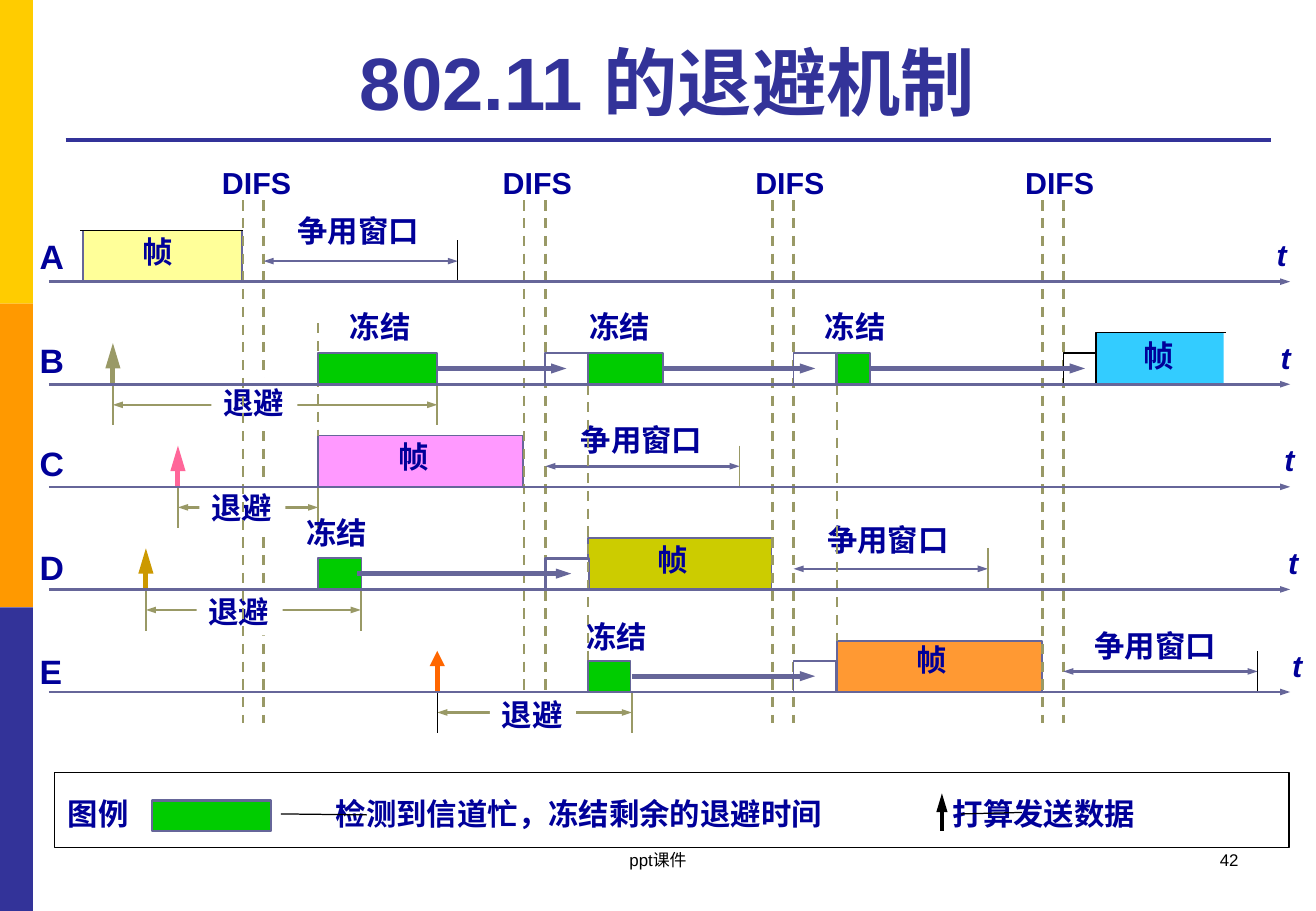
from lxml.etree import SubElement
from pptx import Presentation
from pptx.dml.color import RGBColor
from pptx.enum.dml import MSO_LINE
from pptx.enum.shapes import MSO_CONNECTOR, MSO_SHAPE
from pptx.enum.text import MSO_ANCHOR, MSO_AUTO_SIZE, PP_ALIGN
from pptx.oxml.ns import qn
from pptx.util import Cm, Pt

COLORS = {
    "gold": "FFCC00", "amber": "FF9900", "indigo": "333399", "navy": "000099",
    "slate": "666699", "olive": "999966", "black": "000000", "white": "FFFFFF",
    "green": "00CC00", "yellow": "FFFF99", "sky": "33CCFF", "pink": "FF99FF",
    "mustard": "CCCC00", "orange": "FF9933", "rose": "FF6699",
    "ochre": "CC9900", "flame": "FF6600",
}
BASELINES = {name: 5.89 + 2.145 * index for index, name in enumerate("ABCDE")}
LABEL_HEIGHT = 1.02
SLIM_HEAD = ("sm", "med")
LONG_HEAD = ("med", "lg")


def color(name):
    return RGBColor.from_string(COLORS[name])


class TimingSlide:
    font_name = "Arial"

    def __init__(self, slide):
        self.slide = slide
        self.shapes = slide.shapes

    def format_text(self, paragraph, size, color_name, bold=True, italic=False):
        values = {"name": self.font_name, "size": Pt(size), "bold": bold, "italic": italic}
        for attribute, value in values.items():
            setattr(paragraph.font, attribute, value)
        paragraph.font.color.rgb = color(color_name)

    def title(self, text, left, top, width, height):
        shape = self.shapes.title
        box = {"left": left, "top": top, "width": width, "height": height}
        for attribute, value in box.items():
            setattr(shape, attribute, Cm(value))
        frame = shape.text_frame
        frame.text = text
        frame.auto_size = MSO_AUTO_SIZE.NONE
        frame.vertical_anchor = MSO_ANCHOR.BOTTOM
        frame.paragraphs[0].alignment = PP_ALIGN.CENTER
        self.format_text(frame.paragraphs[0], 44, "indigo")

    def label(self, text, left, top, width, height=LABEL_HEIGHT, size=18, color_name="navy",
              bold=True, italic=False, wrap=False, align=PP_ALIGN.LEFT, fill=None, tabs=()):
        shape = self.shapes.add_textbox(Cm(left), Cm(top), Cm(width), Cm(height))
        if fill:
            shape.fill.solid()
            shape.fill.fore_color.rgb = color(fill)
        frame = shape.text_frame
        frame.word_wrap = wrap
        frame.auto_size = MSO_AUTO_SIZE.NONE if wrap else MSO_AUTO_SIZE.SHAPE_TO_FIT_TEXT
        paragraph = frame.paragraphs[0]
        paragraph.text = text
        paragraph.alignment = align
        if tabs:
            tab_list = SubElement(paragraph._p.get_or_add_pPr(), qn("a:tabLst"))
            for position in tabs:
                SubElement(tab_list, qn("a:tab"), pos=str(Cm(position)), algn="l")
        self.format_text(paragraph, size, color_name, bold, italic)

    def style_shape(self, shape, fill, line, width):
        shape.shadow.inherit = False
        if fill:
            shape.fill.solid()
            shape.fill.fore_color.rgb = color(fill)
        else:
            shape.fill.background()
        if line:
            shape.line.color.rgb = color(line)
            shape.line.width = Pt(width)
        else:
            shape.line.fill.background()

    def rectangle(self, left, top, width, height, fill=None, line=None, line_width=1):
        shape = self.shapes.add_shape(
            MSO_SHAPE.RECTANGLE, Cm(left), Cm(top), Cm(width), Cm(height))
        self.style_shape(shape, fill, line, line_width)

    def outline(self, start, *points):
        """Draw an open, unfilled path through the points."""
        builder = self.shapes.build_freeform(Cm(start[0]), Cm(start[1]))
        builder.add_line_segments([(Cm(x), Cm(y)) for x, y in points], close=False)
        self.style_shape(builder.convert_to_shape(), None, "black", 0.75)

    def line(self, x1, y1, x2, y2, color_name, width, dashed=False, ends=(), head=SLIM_HEAD):
        """Draw a line; ends lists headEnd and tailEnd, head is arrow width and length."""
        connector = self.shapes.add_connector(
            MSO_CONNECTOR.STRAIGHT, Cm(x1), Cm(y1), Cm(x2), Cm(y2))
        connector.line.color.rgb = color(color_name)
        connector.line.width = Pt(width)
        if dashed:
            connector.line.dash_style = MSO_LINE.DASH
        properties = connector._element.spPr
        for end in ends:
            SubElement(properties.find(qn("a:ln")), qn(f"a:{end}"),
                       type="triangle", w=head[0], len=head[1])
        SubElement(properties, qn("a:effectLst"))

    def dashed(self, x, top, bottom):
        self.line(x, top, x, bottom, "olive", 1.5, dashed=True)

    def span(self, x1, x2, y, color_name):
        self.line(x1, y, x2, y, color_name, 1.5, ends=("headEnd", "tailEnd"))

    def tick(self, x, top, color_name):
        self.line(x, top, x, top + 0.86, color_name, 0.75 if color_name == "black" else 1)

    def slot(self, row, left, width, fill, line="slate", line_width=1):
        self.rectangle(left, BASELINES[row] - 0.65, width, 0.65, fill, line, line_width)


def draw_background(page):
    for index, fill in enumerate(("gold", "amber", "indigo")):
        page.rectangle(0, 6.35 * index, 0.69, 6.35, fill)
    page.line(1.37, 2.92, 26.57, 2.92, "indigo", 2.25)
    page.title("802.11 的退避机制", 1.37, 0.53, 25.17, 2.21)
    page.label("ppt课件", 9.4, 17.65, 8.71, 1.27, 10, "black", False,
               wrap=True, align=PP_ALIGN.CENTER)
    page.label("42", 19.71, 17.65, 6.43, 1.27, 10, "black", False,
               wrap=True, align=PP_ALIGN.RIGHT)


def draw_frames(page):
    frames = [  # row, left, width, fill, line, label left, label top
        ("A", 1.73, 3.33, "yellow", "slate", 2.72, 4.75),
        ("B", 22.91, 2.67, "sky", None, 23.65, 6.93),
        ("C", 6.65, 4.29, "pink", "slate", 8.08, 9.04),
        ("D", 12.29, 3.84, "mustard", "slate", 13.49, 11.2),
        ("E", 17.5, 4.29, "orange", "slate", 18.9, 13.28),
    ]
    for row, left, width, fill, line, label_left, label_top in frames:
        page.rectangle(left, BASELINES[row] - 1.07, width, 1.07, fill, line)
        page.label("帧", label_left, label_top, 1.14)
    page.line(1.68, 4.82, 5.08, 4.82, "black", 0.75)
    page.outline((22.91, 8.04), (22.91, 6.96), (25.62, 6.96))


def draw_contention(page):
    for x in (5.51, 10.95, 11.4, 16.15, 16.59, 21.79, 22.23):
        page.dashed(x, 4.19, 15.11)
    for left in (4.39, 10.26, 15.54, 21.18):
        page.label("DIFS", left, 3.3, 1.98)
    windows = [  # row, start, tick colour, label left, label top
        ("A", 5.51, "black", 5.97, 4.32), ("C", 11.4, "olive", 11.89, 8.69),
        ("D", 16.59, "olive", 17.04, 10.77), ("E", 22.23, "black", 22.63, 12.98),
    ]
    for row, start, tick_color, left, top in windows:
        end = start + 4.06
        page.span(start, end, BASELINES[row] - 0.43, "slate")
        page.tick(end, BASELINES[row] - 0.86, tick_color)
        page.label("争用窗口", left, top, 3.07)


def draw_slots(page):
    waiting = [("B", 11.4, 0.89, "slate", 1), ("B", 16.59, 0.89, "slate", 1),
               ("B", 22.23, 0.69, "black", 1), ("D", 11.4, 0.91, "slate", 1.5),
               ("E", 16.59, 0.89, "slate", 1)]
    for row, left, width, line, line_width in waiting:
        page.slot(row, left, width, "white", line, line_width)
    for x, top, bottom in ((6.65, 6.76, 9.12), (12.29, 8.04, 13.84), (17.5, 8.04, 13.41)):
        page.dashed(x, top, bottom)
    frozen = [("B", 6.65, 2.49), ("B", 12.29, 1.57), ("B", 17.5, 0.69),
              ("D", 6.65, 0.91), ("E", 12.29, 0.89)]
    for row, left, width in frozen:
        page.slot(row, left, width, "green")


def draw_backoffs(page):
    backoffs = [  # row, start, end, request colour, head, start tick, label left, label top
        ("B", 2.36, 9.14, "olive", LONG_HEAD, "olive", 4.42, 7.9),
        ("C", 3.72, 6.65, "rose", LONG_HEAD, "olive", 4.17, 10.11),
        ("D", 3.05, 7.54, "ochre", LONG_HEAD, "olive", 4.11, 12.27),
        ("E", 9.14, 13.21, "flame", ("med", "med"), "black", 10.24, 14.43),
    ]
    for row, start, end, request, head, start_tick, left, top in backoffs:
        base = BASELINES[row]
        page.line(start, base, start, base - 0.86, request, 3, ends=("tailEnd",), head=head)
        page.span(start, end, base + 0.43, "olive")
        page.label("退避", left, top, 1.8, fill="white")
        page.tick(start, base, start_tick)
        page.tick(end, base, "olive")
    remaining = [("B", 9.14, 11.84), ("B", 13.87, 17.04), ("B", 18.16, 22.68),
                 ("D", 7.47, 11.94), ("E", 13.21, 17.04)]
    for row, start, end in remaining:
        y = BASELINES[row] - 0.33
        page.line(start, y, end, y, "slate", 3, ends=("tailEnd",))
    page.dashed(5.08, 4.19, 15.11)
    for left, top in ((7.06, 6.32), (12.07, 6.32), (16.99, 6.32), (6.15, 10.62), (12.01, 12.8)):
        page.label("冻结", left, top, 1.8)


def draw_axes(page):
    for index, (row, base) in enumerate(BASELINES.items()):
        page.line(1.02, base, 26.97, base, "slate", 1.5, ends=("tailEnd",))
        page.label(row, 0.58, 4.8 + 2.17 * index, 1.02, 1.12, 20)
        page.label("t", 26.44 + 0.08 * index, base - 1.07, 0.73, italic=True)


def draw_legend(page):
    page.rectangle(1.14, 16.15, 25.81, 1.57, line="black", line_width=0.75)
    page.label("图例\t检测到信道忙，冻结剩余的退避时间\t打算发送数据",
               1.17, 16.51, 25.78, wrap=True, tabs=(5.6, 18.5))
    page.rectangle(3.18, 16.74, 2.49, 0.64, "green", "slate", 1.5)
    page.line(5.87, 17.02, 7.67, 17.04, "black", 0.75)
    page.line(19.69, 17.37, 19.69, 16.59, "black", 2.25, ends=("tailEnd",), head=LONG_HEAD)
    page.line(20.09, 17.02, 21.36, 16.99, "black", 0.75)


def main():
    presentation = Presentation()
    presentation.slide_width, presentation.slide_height = Cm(27.51), Cm(19.05)
    page = TimingSlide(presentation.slides.add_slide(presentation.slide_layouts[5]))
    for draw in (draw_background, draw_frames, draw_contention, draw_slots,
                 draw_backoffs, draw_axes, draw_legend):
        draw(page)
    presentation.save("out.pptx")


if __name__ == "__main__":
    main()
